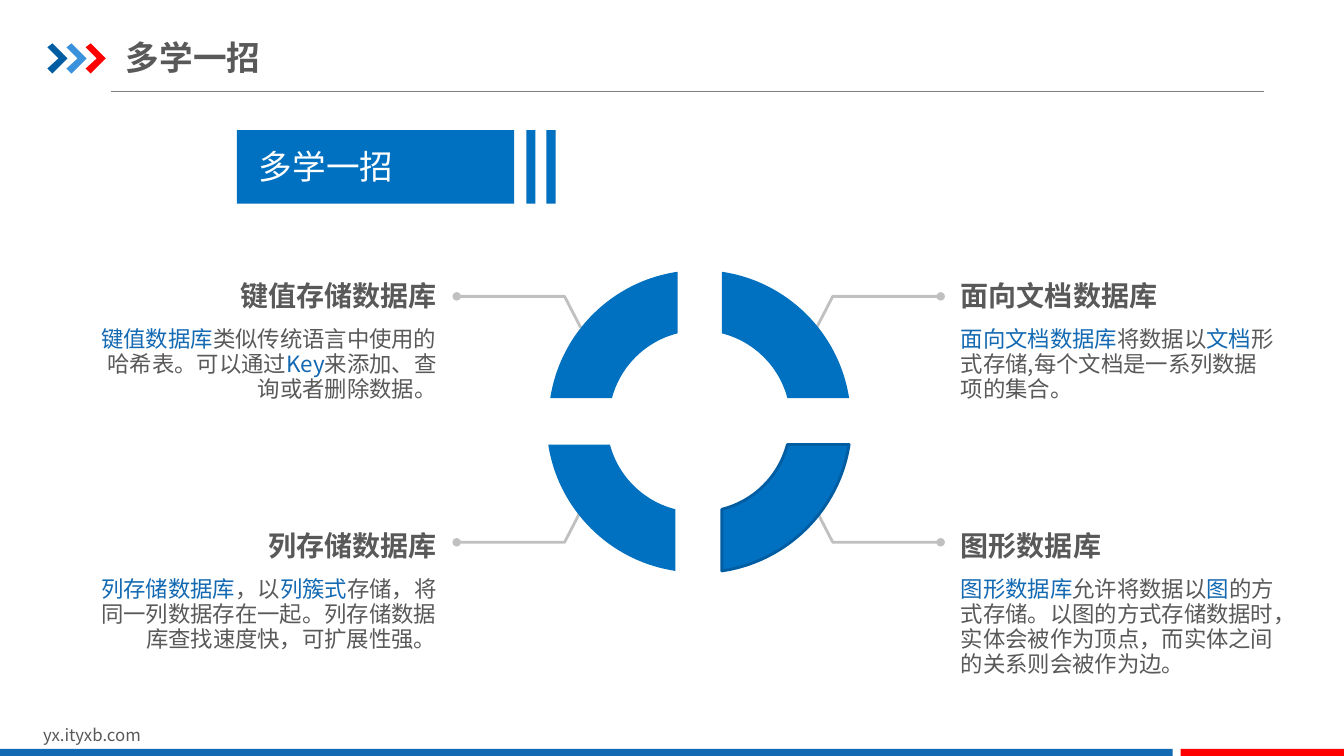
from math import acos, asin, cos, sin, tan

from lxml.etree import SubElement
from pptx import Presentation
from pptx.dml.color import RGBColor
from pptx.enum.shapes import MSO_CONNECTOR, MSO_SHAPE
from pptx.enum.text import MSO_ANCHOR, PP_ALIGN
from pptx.oxml.ns import qn
from pptx.util import Inches, Pt

BLUE = RGBColor(0x00, 0x70, 0xC0)
ACCENT = RGBColor(0x13, 0x69, 0xB2)
NAVY = RGBColor(0x00, 0x5D, 0xA2)
SKY = RGBColor(0x39, 0x92, 0xDB)
RED = RGBColor(0xFF, 0x00, 0x00)
TEXT_GRAY = RGBColor(0x59, 0x59, 0x59)
RULE_GRAY = RGBColor(0x80, 0x80, 0x80)
LEADER_GRAY = RGBColor(0xC0, 0xC0, 0xC0)
WHITE = RGBColor(0xFF, 0xFF, 0xFF)
FONT = "Noto Sans CJK SC"

OUTER_RADIUS, INNER_RADIUS = 1.5, 0.9
HALF_GAP_X, HALF_GAP_Y = 0.22, 0.23

TOPICS = [
    (-1, -1, "键值存储数据库",
     ["键值数据库", "类似传统语言中使用的哈希表。可以通过", "Key", "来添加、查询或者删除数据。"]),
    (1, -1, "面向文档数据库",
     ["面向文档数据库", "将数据以", "文档", "形式存储,每个文档是一系列数据项的集合。"]),
    (-1, 1, "列存储数据库",
     ["列存储数据库", "，以", "列簇式",
      "存储，将同一列数据存在一起。列存储数据库查找速度快，可扩展性强。"]),
    (1, 1, "图形数据库",
     ["图形数据库", "允许将数据以", "图",
      "的方式存储。以图的方式存储数据时，实体会被作为顶点，而实体之间的关系则会被作为边。"]),
]


def add_bar(page, left, top, width, height, color):
    bar = page.shapes.add_shape(
        MSO_SHAPE.RECTANGLE, Inches(left), Inches(top), Inches(width), Inches(height))
    bar.shadow.inherit = False
    bar.fill.solid()
    bar.fill.fore_color.rgb = color
    bar.line.fill.background()


def add_outline(page, points, close=True):
    corners = [(Inches(x), Inches(y)) for x, y in points]
    builder = page.shapes.build_freeform(*corners[0], scale=1.0)
    builder.add_line_segments(corners[1:], close=close)
    outline = builder.convert_to_shape()
    outline.shadow.inherit = False
    return outline


def add_filled(page, points, color):
    filled = add_outline(page, points)
    filled.fill.solid()
    filled.fill.fore_color.rgb = color
    filled.line.fill.background()
    return filled


def add_rule(page):
    rule = page.shapes.add_connector(
        MSO_CONNECTOR.STRAIGHT, Inches(1.1), Inches(0.91), Inches(12.54), Inches(0.91))
    rule.line.color.rgb = RULE_GRAY
    rule.line.width = Pt(0.75)
    SubElement(rule._element.spPr, qn("a:effectLst"))


def add_text(page, place, spans, size, bold=False, font=FONT, align=PP_ALIGN.LEFT,
             anchor=MSO_ANCHOR.TOP, insets=(0, 0), spacing=None):
    box = page.shapes.add_textbox(*[Inches(length) for length in place])
    frame = box.text_frame
    frame.word_wrap = True
    frame.vertical_anchor = anchor
    frame.margin_left = frame.margin_right = Inches(insets[0])
    frame.margin_top = frame.margin_bottom = Inches(insets[1])
    para = frame.paragraphs[0]
    para.alignment = align
    if spacing:
        para.line_spacing = spacing
    para.font.size = Pt(size)
    para.font.bold = bold
    para.font.name = font
    defaults = para._p.pPr.find(qn("a:defRPr"))
    SubElement(defaults, qn("a:ea")).set("typeface", font)
    for text, color in spans:
        span = para.add_run()
        span.text = text
        span.font.color.rgb = color


def add_chevron(page, left, color):
    shape = [(0, 0.04), (0.05, 0), (0.2, 0.15), (0.05, 0.3), (0, 0.25), (0.11, 0.15)]
    add_filled(page, [(left + x, 0.43 + y) for x, y in shape], color)


def add_leader(page, side, level):
    offsets = [(1.17, 0.91), (1.33, 1.22), (2.4, 1.22)]
    leader = add_outline(
        page, [(6.93 + side * x, 4.16 + level * y) for x, y in offsets], close=False)
    leader.fill.background()
    leader.line.color.rgb = LEADER_GRAY
    leader.line.width = Pt(2)
    SubElement(leader.line._get_or_add_ln(), qn("a:tailEnd")).set("type", "oval")


def arc(radius):
    start, stop = asin(HALF_GAP_Y / radius), acos(HALF_GAP_X / radius)
    reach = 4 / 3 * tan((stop - start) / 4)
    return [(radius * (cos(angle) - pull * sin(angle)), radius * (sin(angle) + pull * cos(angle)))
            for angle, pull in [(start, 0), (start, reach), (stop, -reach), (stop, 0)]]


def bend(lines):
    curve, *others = lines
    curve.tag = qn("a:cubicBezTo")
    for line in others:
        curve.append(line[0])
        line.getparent().remove(line)


def add_quadrant(page, side, level):
    center_x = 6.92 if (side, level) == (-1, 1) else 6.94
    ring = arc(OUTER_RADIUS) + arc(INNER_RADIUS)[::-1]
    quadrant = add_filled(
        page, [(center_x + side * x, 4.18 + level * y) for x, y in ring], BLUE)
    lines = list(quadrant._element.iter(qn("a:lnTo")))
    bend(lines[0:3])
    bend(lines[4:7])
    if (side, level) == (1, 1):
        quadrant.line.color.rgb = NAVY
        quadrant.line.width = Pt(2)


def add_topic(page, side, level, heading, pieces):
    if side > 0:
        align, heading_left, heading_width, left, width = PP_ALIGN.LEFT, 9.53, 2.91, 9.53, 3.14
    else:
        align, heading_left, heading_width, left, width = PP_ALIGN.RIGHT, 0.68, 3.65, 0.96, 3.37
    top = 2.17 if level < 0 else 4.65
    add_text(page, (heading_left, top, heading_width, 0.93), [(heading, TEXT_GRAY)], 20,
             bold=True, align=align, anchor=MSO_ANCHOR.BOTTOM, spacing=1.2)
    spans = [(piece, TEXT_GRAY if index % 2 else ACCENT) for index, piece in enumerate(pieces)]
    add_text(page, (left, top + 1.07, width, 1.45), spans, 16, align=align, spacing=Pt(18))


def add_frame(page):
    add_rule(page)
    for index, color in enumerate([NAVY, SKY, RED]):
        add_chevron(page, 0.47 + index * 0.19, color)
    add_text(page, (0.33, 7.14, 3.18, 0.3), [("yx.ityxb.com", TEXT_GRAY)], 12,
             insets=(0.1, 0.05))
    add_bar(page, 0, 7.43, 11.63, 0.09, ACCENT)
    add_bar(page, 11.71, 7.43, 1.63, 0.09, RED)
    add_text(page, (1.25, 0.29, 4.26, 0.55), [("多学一招", TEXT_GRAY)], 24, bold=True,
             anchor=MSO_ANCHOR.MIDDLE, insets=(0, 0.07))


def add_banner(page):
    for left, width in [(2.35, 2.75), (5.22, 0.09), (5.42, 0.09)]:
        add_bar(page, left, 1.29, width, 0.73, BLUE)
    add_text(page, (2.47, 1.4, 2.51, 0.5), [("多学一招", WHITE)], 24, font="Arial",
             align=PP_ALIGN.JUSTIFY, insets=(0.1, 0.05))


def main():
    deck = Presentation()
    deck.slide_width, deck.slide_height = Inches(13.33), Inches(7.5)
    page = deck.slides.add_slide(deck.slide_layouts[6])
    add_frame(page)
    add_banner(page)
    for side, level, heading, pieces in TOPICS:
        add_leader(page, side, level)
        add_quadrant(page, side, level)
        add_topic(page, side, level, heading, pieces)
    deck.save("out.pptx")


if __name__ == "__main__":
    main()
